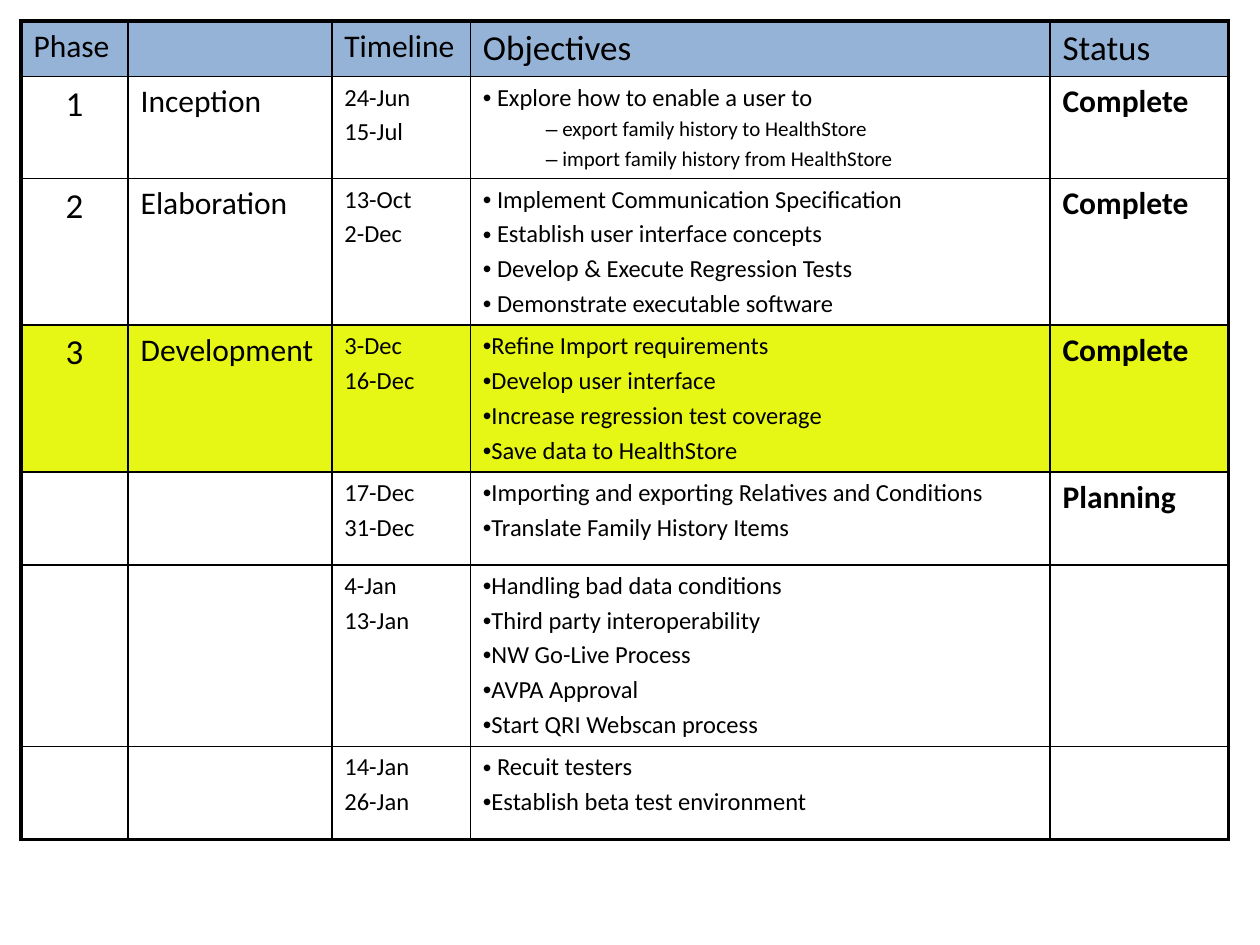
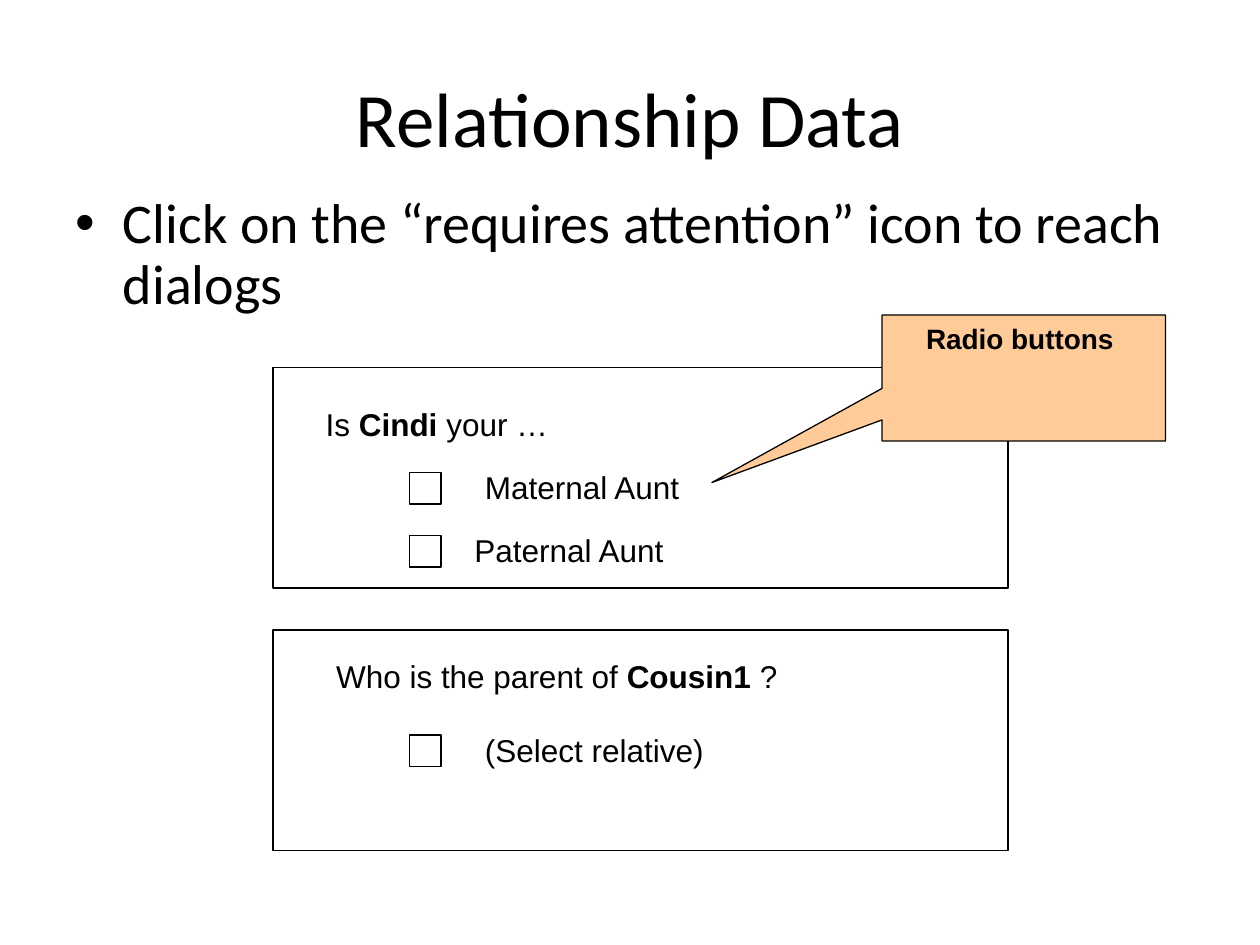
from dataclasses import dataclass

from lxml.etree import SubElement
from pptx import Presentation
from pptx.dml.color import RGBColor
from pptx.enum.shapes import MSO_SHAPE
from pptx.enum.text import MSO_ANCHOR, MSO_AUTO_SIZE, PP_ALIGN
from pptx.oxml import parse_xml
from pptx.oxml.ns import nsdecls, qn
from pptx.util import Inches, Pt

GRID_COLUMNS, GRID_ROWS = 120, 90
UNIT = Inches(10) / GRID_COLUMNS

BLACK, WHITE = "000000", "FFFFFF"
HEADER_BLUE, CURRENT_YELLOW, CALLOUT_ORANGE = "95B3D7", "E7F715", "FFCC99"
TABLE_FONT, BULLET_FONT, DIALOG_FONT = "Calibri", "Arial", "Arial"
THIN, THICK, OUTLINE = 1, 2.25, 0.75

COLUMN_SPANS = [10.2, 19.4, 13.2, 55.2, 17]
HEADER_SPAN = 5.2
HEADINGS = [("Phase", 18), ("", 18), ("Timeline", 18), ("Objectives", 20), ("Status", 20)]

DIALOG_LEFT, DIALOG_WIDTH, DIALOG_HEIGHT = 26, 70, 21
CHECKBOX_LEFT, CHECKBOX_SIZE = 39, 3
LINE_HEIGHT = 4.8


@dataclass
class Line:
    text: str
    size: float
    bold: bool = False
    centred: bool = False
    bullet: str = ""
    indent: float = 0


@dataclass
class Phase:
    span: float
    dates: list[str]
    objectives: list[str]
    number: str = ""
    name: str = ""
    status: str = ""
    details: tuple[str, ...] = ()
    fill: str = WHITE

    def cells(self) -> list[list[Line]]:
        goals = [Line(goal, 14, bullet="•") for goal in self.objectives]
        goals += [Line(detail, 12, bullet="–", indent=6) for detail in self.details]
        return [
            [Line(self.number, 20, centred=True)],
            [Line(self.name, 18)],
            [Line(date, 14) for date in self.dates],
            goals,
            [Line(self.status, 18, bold=True)],
        ]


@dataclass
class Option:
    label: str
    top: float
    label_left: float = 45


@dataclass
class Dialog:
    top: float
    question: list[tuple[str, bool]]
    question_left: float
    question_top: float
    options: list[Option]


PHASES = [
    Phase(9.7, ["24-Jun", "15-Jul"], [" Explore how to enable a user to"],
          "1", "Inception", "Complete",
          (" export family history to HealthStore", " import family history from HealthStore")),
    Phase(13.95, ["13-Oct", "2-Dec"],
          [" Implement Communication Specification", " Establish user interface concepts",
           " Develop & Execute Regression Tests", " Demonstrate executable software"],
          "2", "Elaboration", "Complete"),
    Phase(13.95, ["3-Dec", "16-Dec"],
          ["Refine Import requirements", "Develop user interface",
           "Increase regression test coverage", "Save data to HealthStore"],
          "3", "Development", "Complete", fill=CURRENT_YELLOW),
    Phase(8.85, ["17-Dec", "31-Dec"],
          ["Importing and exporting Relatives and Conditions", "Translate Family History Items"],
          status="Planning"),
    Phase(17.3, ["4-Jan", "13-Jan"],
          ["Handling bad data conditions", "Third party interoperability",
           "NW Go-Live Process", "AVPA Approval", "Start QRI Webscan process"]),
    Phase(8.85, ["14-Jan", "26-Jan"], [" Recuit testers", "Establish beta test environment"]),
]

DIALOGS = [
    Dialog(35, [(" Is ", False), ("Cindi", True), (" your …", False)], 29, 38,
           [Option("Maternal Aunt", 45), Option("Paternal Aunt", 51, 44)]),
    Dialog(60, [(" Who is the parent of ", False), ("Cousin1 ", True), ("?", False)], 30, 62,
           [Option("(Select relative)", 70)]),
]


def grid(*spans: float) -> list[int]:
    """Turn grid spans into lengths."""
    return [round(span * UNIT) for span in spans]


def colour(hex_value: str) -> RGBColor:
    return RGBColor.from_string(hex_value)


def apply(target, formats: dict) -> None:
    for attribute, value in formats.items():
        setattr(target, attribute, value)


def add_run(paragraph, text: str, font: str, size: float, bold: bool = False) -> None:
    run = paragraph.add_run()
    run.text = text
    apply(run.font, {"name": font, "size": Pt(size), "bold": bold})
    run.font.color.rgb = colour(BLACK)


def set_bullet(paragraph, line: Line) -> None:
    properties = paragraph._p.get_or_add_pPr()
    properties.set("marL", str(grid(line.indent)[0]))
    properties.set("indent", "0")
    SubElement(properties, qn("a:buFont"), typeface=BULLET_FONT)
    SubElement(properties, qn("a:buChar"), char=line.bullet)


def set_borders(cell, widths: dict[str, float]) -> None:
    properties = cell._tc.get_or_add_tcPr()
    for position, (side, width) in enumerate(widths.items()):
        properties.insert(position, parse_xml(
            f'<a:ln{side} {nsdecls("a")} w="{Pt(width)}"><a:solidFill>'
            f'<a:srgbClr val="{BLACK}"/></a:solidFill></a:ln{side}>'))


def fill_cell(cell, lines: list[Line], fill: str) -> None:
    cell.fill.solid()
    cell.fill.fore_color.rgb = colour(fill)
    for index, line in enumerate(lines):
        frame = cell.text_frame
        paragraph = frame.add_paragraph() if index else frame.paragraphs[0]
        apply(paragraph, {
            "alignment": PP_ALIGN.CENTER if line.centred else PP_ALIGN.LEFT,
            "space_before": Pt(line.size * 0.2),
        })
        if line.bullet:
            set_bullet(paragraph, line)
        if line.text:
            add_run(paragraph, line.text, TABLE_FONT, line.size, line.bold)


def add_phase_table(slide) -> None:
    row_spans = [HEADER_SPAN] + [phase.span for phase in PHASES]
    rows = [([[Line(*heading)] for heading in HEADINGS], HEADER_BLUE)]
    rows += [(phase.cells(), phase.fill) for phase in PHASES]
    table = slide.shapes.add_table(
        len(rows), len(COLUMN_SPANS),
        *grid(2, 2, sum(COLUMN_SPANS), sum(row_spans))).table
    apply(table, {"first_row": False, "horz_banding": False})
    for column, width in zip(table.columns, grid(*COLUMN_SPANS)):
        column.width = width
    for row, height in zip(table.rows, grid(*row_spans)):
        row.height = height
    last_row, last_column = len(rows) - 1, len(COLUMN_SPANS) - 1
    for r, (cells, fill) in enumerate(rows):
        for c, lines in enumerate(cells):
            cell = table.cell(r, c)
            fill_cell(cell, lines, fill)
            outer = {"L": c == 0, "R": c == last_column, "T": r == 0, "B": r == last_row}
            set_borders(cell, {side: THICK if edge else THIN for side, edge in outer.items()})


def add_outlined(slide, kind, bounds: tuple, fill: str | None = None):
    shape = slide.shapes.add_shape(kind, *grid(*bounds))
    shape.shadow.inherit = False
    shape.line.color.rgb = colour(BLACK)
    shape.line.width = Pt(OUTLINE)
    if fill:
        shape.fill.solid()
        shape.fill.fore_color.rgb = colour(fill)
    else:
        shape.fill.background()
    return shape


def add_label(slide, left: float, top: float, width: float,
              parts: list[tuple[str, bool]]) -> None:
    frame = slide.shapes.add_textbox(*grid(left, top, width, LINE_HEIGHT)).text_frame
    apply(frame, {"word_wrap": True, "auto_size": MSO_AUTO_SIZE.SHAPE_TO_FIT_TEXT})
    for text, bold in parts:
        add_run(frame.paragraphs[0], text, DIALOG_FONT, 18, bold)


def add_dialog(slide, dialog: Dialog) -> None:
    add_outlined(slide, MSO_SHAPE.RECTANGLE,
                 (DIALOG_LEFT, dialog.top, DIALOG_WIDTH, DIALOG_HEIGHT))
    add_label(slide, dialog.question_left, dialog.question_top, 55, dialog.question)
    for option in dialog.options:
        add_outlined(slide, MSO_SHAPE.RECTANGLE,
                     (CHECKBOX_LEFT, option.top, CHECKBOX_SIZE, CHECKBOX_SIZE), WHITE)
        add_label(slide, option.label_left, option.top - 1, 24, [(option.label, False)])


def add_callout(slide, text: str) -> None:
    callout = add_outlined(slide, MSO_SHAPE.RECTANGULAR_CALLOUT, (84, 30, 27, 12),
                           CALLOUT_ORANGE)
    callout.adjustments[0], callout.adjustments[1] = -1.1, 0.83
    callout.text_frame.vertical_anchor = MSO_ANCHOR.TOP
    paragraph = callout.text_frame.paragraphs[0]
    paragraph.alignment = PP_ALIGN.CENTER
    add_run(paragraph, text, DIALOG_FONT, 16, True)


def fill_placeholder(placeholder, bounds: tuple, text: str, size: float,
                     frame_format: dict, paragraph_format: dict) -> None:
    apply(placeholder, dict(zip(("left", "top", "width", "height"), grid(*bounds))))
    frame = placeholder.text_frame
    apply(frame, {"auto_size": MSO_AUTO_SIZE.NONE, **frame_format})
    apply(frame.paragraphs[0], paragraph_format)
    add_run(frame.paragraphs[0], text, TABLE_FONT, size)


def add_relationship_slide(deck) -> None:
    slide = deck.slides.add_slide(deck.slide_layouts[1])
    title, body = slide.placeholders
    fill_placeholder(title, (6, 3.6, 108, 15), "Relationship Data", 44,
                     {"vertical_anchor": MSO_ANCHOR.MIDDLE}, {"alignment": PP_ALIGN.CENTER})
    fill_placeholder(body, (6, 18, 108, 17),
                     "Click on the “requires attention” icon to reach dialogs", 32,
                     {"vertical_anchor": MSO_ANCHOR.TOP},
                     {"line_spacing": 0.9, "space_before": Pt(0)})
    for dialog in DIALOGS:
        add_dialog(slide, dialog)
    add_callout(slide, "Radio buttons ")


def main() -> None:
    deck = Presentation()
    deck.slide_width, deck.slide_height = grid(GRID_COLUMNS, GRID_ROWS)
    add_phase_table(deck.slides.add_slide(deck.slide_layouts[6]))
    add_relationship_slide(deck)
    deck.save("out.pptx")


if __name__ == "__main__":
    main()
